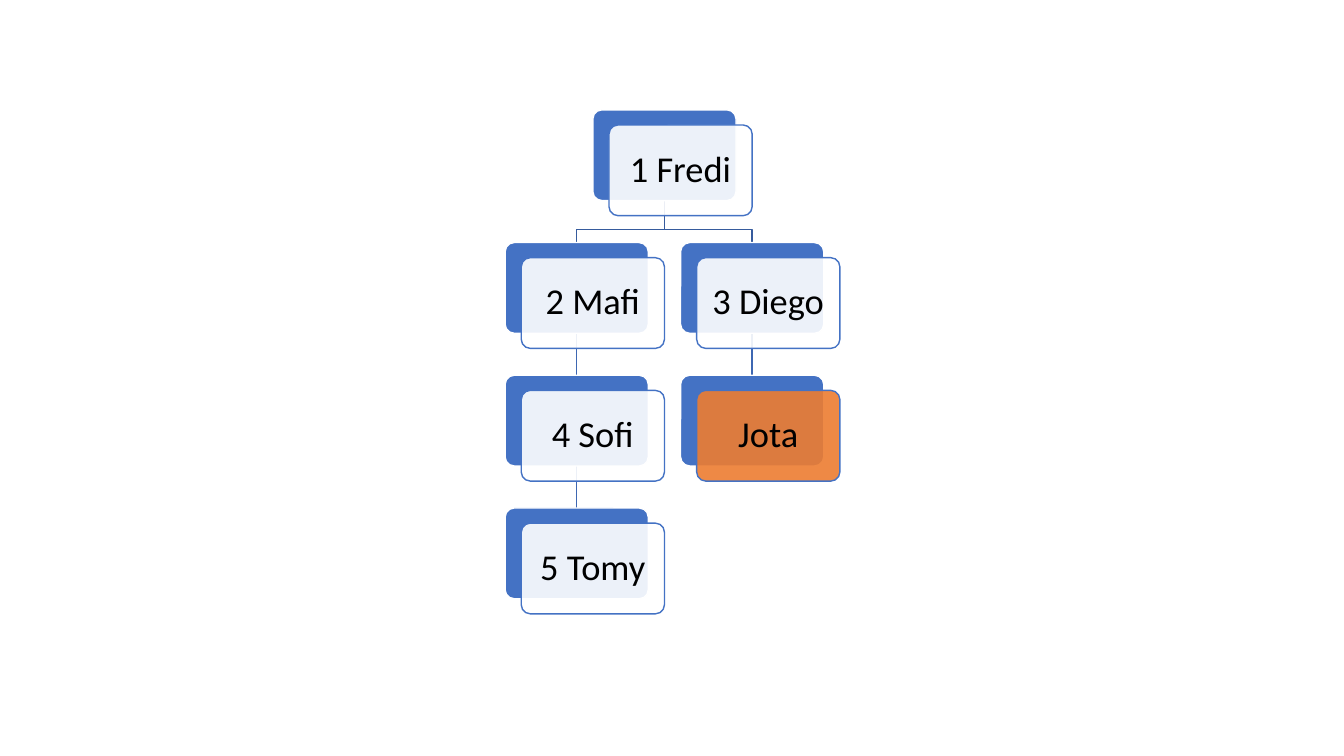
from pptx import Presentation
from pptx.dml.color import RGBColor
from pptx.enum.shapes import MSO_CONNECTOR, MSO_SHAPE
from pptx.enum.text import MSO_ANCHOR, PP_ALIGN
from pptx.oxml.ns import qn
from pptx.util import Inches, Pt
from lxml import etree

BLUE = RGBColor(0x44, 0x72, 0xC4)
ORANGE = RGBColor(0xED, 0x7D, 0x31)
WHITE = RGBColor(255, 255, 255)
BLACK = RGBColor(0, 0, 0)
BRANCH = RGBColor(0x36, 0x5B, 0x9D)
STEM = RGBColor(0x3E, 0x67, 0xB2)
ROUND = MSO_SHAPE.ROUNDED_RECTANGLE
STRAIGHT = MSO_CONNECTOR.STRAIGHT
CENTER = PP_ALIGN.CENTER
MIDDLE = MSO_ANCHOR.MIDDLE

PEOPLE = {
    "1 Fredi": (0.5, 0, WHITE),
    "2 Mafi": (0, 1, WHITE),
    "4 Sofi": (0, 2, WHITE),
    "5 Tomy": (0, 3, WHITE),
    "3 Diego": (1, 1, WHITE),
    "Jota": (1, 2, ORANGE),
}
LINKS = [
    ("3 Diego", "Jota"),
    ("1 Fredi", "3 Diego"),
    ("4 Sofi", "5 Tomy"),
    ("2 Mafi", "4 Sofi"),
    ("1 Fredi", "2 Mafi"),
]

LEFT, TOP = 5.01, 1.09
WIDE, HIGH = 1.42, 0.9
ACROSS, DOWN = 1.74, 3.95 / 3
SHIFT_X, SHIFT_Y = 0.16, 0.15
BEND = 0.29

deck = Presentation()
deck.slide_width, deck.slide_height = Inches(13.33), Inches(7.5)
slide = deck.slides.add_slide(deck.slide_layouts[6])
shapes = slide.shapes


def place(name):
    col, row, _ = PEOPLE[name]
    return LEFT + col * ACROSS, TOP + row * DOWN


def link(boss, child):
    x, y = place(boss)
    end_x, end_y = place(child)
    x, end_x, y = x + WIDE / 2, end_x + WIDE / 2, y + HIGH
    if x == end_x:
        line = shapes.add_connector(
            STRAIGHT, Inches(x), Inches(y), Inches(x), Inches(end_y))
        etree.SubElement(line._element.spPr, qn("a:effectLst"))
        color = STEM
    else:
        turn = y + BEND
        form = shapes.build_freeform(Inches(x), Inches(y))
        form.add_line_segments(
            [(Inches(a), Inches(b))
             for a, b in ((x, turn), (end_x, turn), (end_x, end_y))],
            close=False)
        line = form.convert_to_shape()
        line.fill.background()
        line.shadow.inherit = False
        color = BRANCH
    line.line.color.rgb = color
    line.line.width = Pt(1)


def card(x, y, fill, edge):
    box = shapes.add_shape(
        ROUND, Inches(x), Inches(y), Inches(WIDE), Inches(HIGH))
    box.adjustments[0] = 0.1
    box.shadow.inherit = False
    box.fill.solid()
    box.fill.fore_color.rgb = fill
    box.line.color.rgb = edge
    box.line.width = Pt(1)
    return box


def person(name):
    x, y = place(name)
    card(x, y, BLUE, WHITE)
    front = card(x + SHIFT_X, y + SHIFT_Y, PEOPLE[name][2], BLUE)
    tint = front._element.spPr.find(qn("a:solidFill"))[0]
    etree.SubElement(tint, qn("a:alpha"), val="90000")
    frame = front.text_frame
    frame.word_wrap = True
    frame.vertical_anchor = MIDDLE
    frame.margin_left = frame.margin_right = Inches(0.12)
    frame.margin_top = frame.margin_bottom = Inches(0.12)
    frame.text = name
    para = frame.paragraphs[0]
    para.alignment = CENTER
    para.line_spacing = 0.9
    font = para.runs[0].font
    font.name, font.size = "Calibri", Pt(26)
    font.color.rgb = BLACK


for boss, child in LINKS:
    link(boss, child)
for name in PEOPLE:
    person(name)

deck.save("out.pptx")
